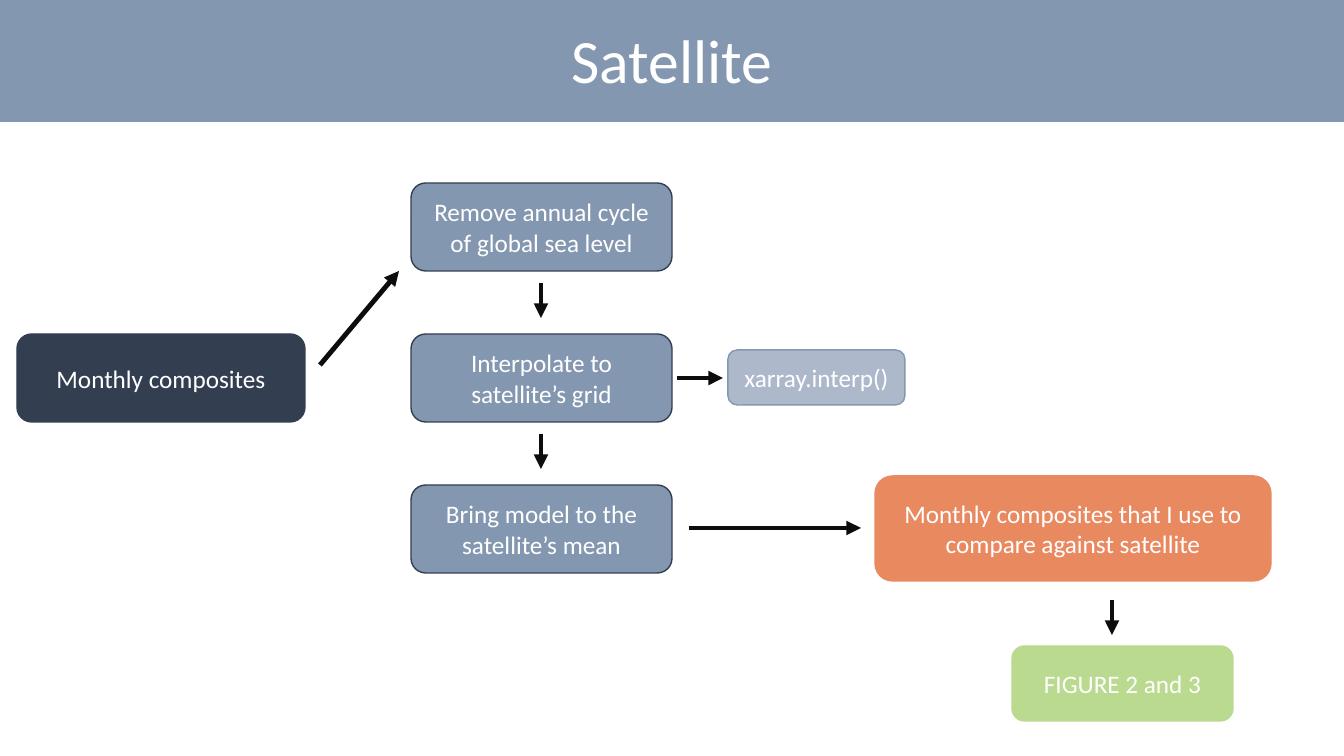
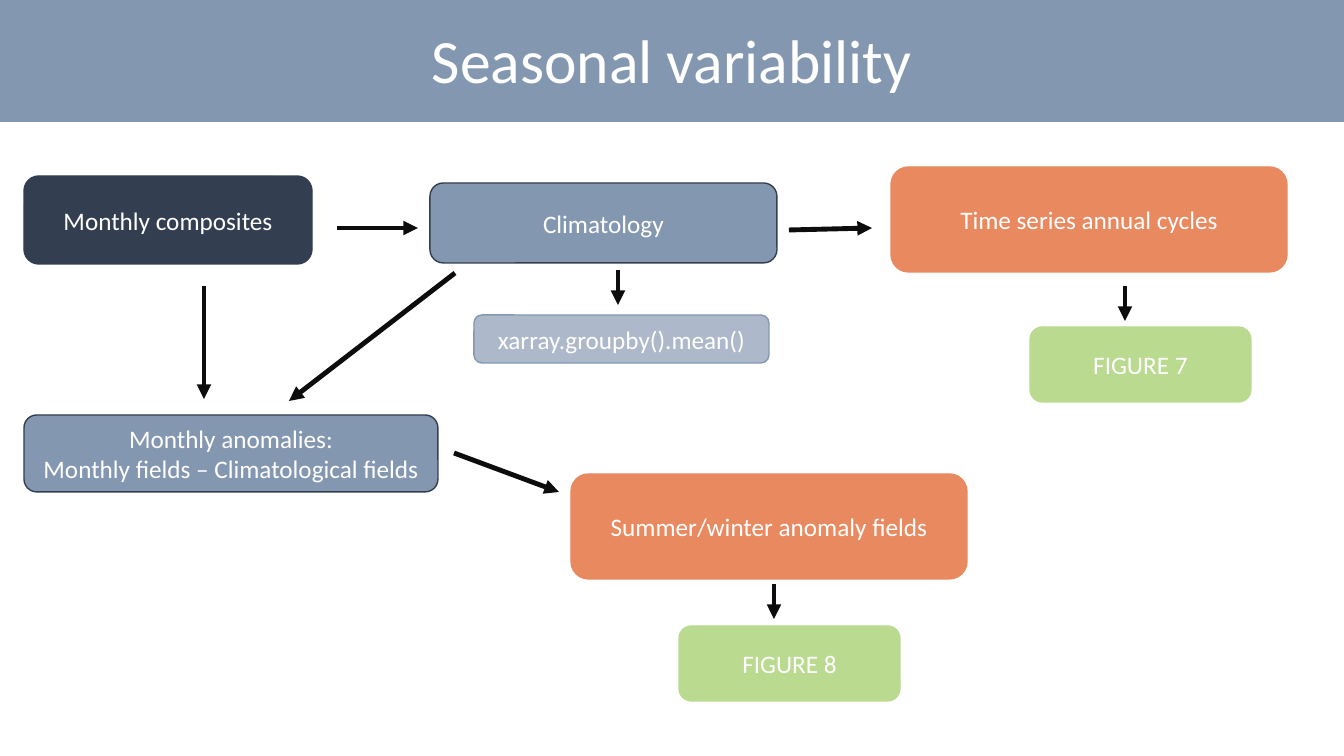
from dataclasses import dataclass

from lxml import etree
from pptx import Presentation
from pptx.dml.color import RGBColor
from pptx.enum.shapes import MSO_CONNECTOR, MSO_SHAPE
from pptx.enum.text import MSO_ANCHOR, MSO_AUTO_SIZE, PP_ALIGN
from pptx.oxml.ns import qn
from pptx.util import Emu, Pt

ROUNDED = MSO_SHAPE.ROUNDED_RECTANGLE
STRAIGHT = MSO_CONNECTOR.STRAIGHT
MIDDLE = MSO_ANCHOR.MIDDLE
NO_AUTOFIT = MSO_AUTO_SIZE.NONE
CENTER = PP_ALIGN.CENTER
TITLE_ONLY = 5
SLIDE_WIDTH, SLIDE_HEIGHT = 1344, 756
EMU_PER_PIXEL = 12192000 / SLIDE_WIDTH


@dataclass(frozen=True)
class Theme:
    font: str = "Calibri"
    title_size: int = 44
    body_size: int = 18
    outline_width: float = 1
    arrow_width: float = 3.5
    text: str = "FFFFFF"
    arrow: str = "0D0D0D"
    navy: str = "333F50"
    slate: str = "8497B0"
    mist: str = "ADB9CA"
    orange: str = "E98960"
    green: str = "B9DA8F"


@dataclass(frozen=True)
class BoxStyle:
    fill: str
    outline: str
    width: int
    height: int


THEME = Theme()
SOURCE = BoxStyle(THEME.navy, THEME.navy, 288, 88)
STEP = BoxStyle(THEME.slate, THEME.navy, 261, 88)
FUNCTION = BoxStyle(THEME.mist, THEME.slate, 177, 55)
RESULT = BoxStyle(THEME.orange, THEME.orange, 396, 105)
FIGURE = BoxStyle(THEME.green, THEME.green, 221, 75)


def px(value):
    return Emu(round(value * EMU_PER_PIXEL))


def write_text(shape, text, size=THEME.body_size, color=THEME.text, align=CENTER):
    frame = shape.text_frame
    frame.word_wrap = True
    frame.auto_size = NO_AUTOFIT
    frame.vertical_anchor = MIDDLE
    frame.text = text
    for paragraph in frame.paragraphs:
        paragraph.alignment = align
        font = paragraph.runs[0].font
        font.name = THEME.font
        font.size = Pt(size)
        font.color.rgb = RGBColor.from_string(color)


def paint(shape, fill, outline):
    shape.fill.solid()
    shape.fill.fore_color.rgb = RGBColor.from_string(fill)
    shape.line.color.rgb = RGBColor.from_string(outline)
    shape.line.width = Pt(THEME.outline_width)


def add_titled_slide(presentation, title):
    slide = presentation.slides.add_slide(presentation.slide_layouts[TITLE_ONLY])
    band = slide.shapes.title
    band.left, band.top = px(0), px(-3)
    band.width, band.height = px(SLIDE_WIDTH), px(124)
    paint(band, THEME.slate, THEME.slate)
    write_text(band, title, size=THEME.title_size)
    return slide


def add_box(slide, style, text, left, top, width=None, height=None):
    shape = slide.shapes.add_shape(
        ROUNDED, px(left), px(top), px(width or style.width), px(height or style.height)
    )
    shape.shadow.inherit = False
    paint(shape, style.fill, style.outline)
    write_text(shape, text)


def add_arrow(slide, start, end):
    connector = slide.shapes.add_connector(STRAIGHT, *map(px, start + end))
    connector.line.color.rgb = RGBColor.from_string(THEME.arrow)
    connector.line.width = Pt(THEME.arrow_width)
    etree.SubElement(connector.line._get_or_add_ln(), qn("a:tailEnd"), type="triangle")
    etree.SubElement(connector._element.spPr, qn("a:effectLst"))


def add_short_arrow(slide, x, top):
    add_arrow(slide, (x, top), (x, top + 35))


def build_satellite(presentation):
    slide = add_titled_slide(presentation, "Satellite")
    add_box(slide, SOURCE, "Monthly composites", 17, 334)
    add_arrow(slide, (320, 365), (399, 271))

    steps = (
        "Remove annual cycle of global sea level",
        "Interpolate to satellite’s grid",
        "Bring model to the satellite’s mean",
    )
    for index, text in enumerate(steps):
        top = 183 + 151 * index
        add_box(slide, STEP, text, 411, top)
        if index < len(steps) - 1:
            add_short_arrow(slide, 541, top + 100)

    add_arrow(slide, (677, 378), (723, 378))
    add_box(slide, FUNCTION, "xarray.interp()", 728, 350)
    add_arrow(slide, (689, 528), (861, 528))
    add_box(slide, RESULT, "Monthly composites that I use to compare against satellite", 875, 476)
    add_short_arrow(slide, 1112, 600)
    add_box(slide, FIGURE, "FIGURE 2 and 3", 1012, 646)


def build_seasonal_variability(presentation):
    slide = add_titled_slide(presentation, "Seasonal variability")
    add_box(slide, SOURCE, "Monthly composites", 24, 176)
    add_arrow(slide, (337, 228), (418, 228))
    add_box(slide, STEP, "Climatology", 430, 183, width=347, height=80)
    add_short_arrow(slide, 618, 270)
    add_box(slide, FUNCTION, "xarray.groupby().mean()", 474, 315, width=295, height=48)

    add_arrow(slide, (204, 286), (204, 399))
    add_arrow(slide, (455, 273), (289, 401))
    anomalies = "Monthly anomalies:\nMonthly fields – Climatological fields"
    add_box(slide, STEP, anomalies, 24, 415, width=414, height=77)

    add_arrow(slide, (789, 230), (872, 228))
    add_arrow(slide, (454, 453), (559, 492))
    outcomes = (
        ("Time series annual cycles", (891, 167), (1125, 286), "FIGURE 7", (1030, 327)),
        ("Summer/winter anomaly fields", (571, 474), (774, 584), "FIGURE 8", (679, 626)),
    )
    for result, result_place, arrow_start, figure, figure_place in outcomes:
        add_box(slide, RESULT, result, *result_place)
        add_short_arrow(slide, *arrow_start)
        add_box(slide, FIGURE, figure, *figure_place)


def main():
    presentation = Presentation()
    presentation.slide_width = px(SLIDE_WIDTH)
    presentation.slide_height = px(SLIDE_HEIGHT)
    build_satellite(presentation)
    build_seasonal_variability(presentation)
    presentation.save("out.pptx")


main()
